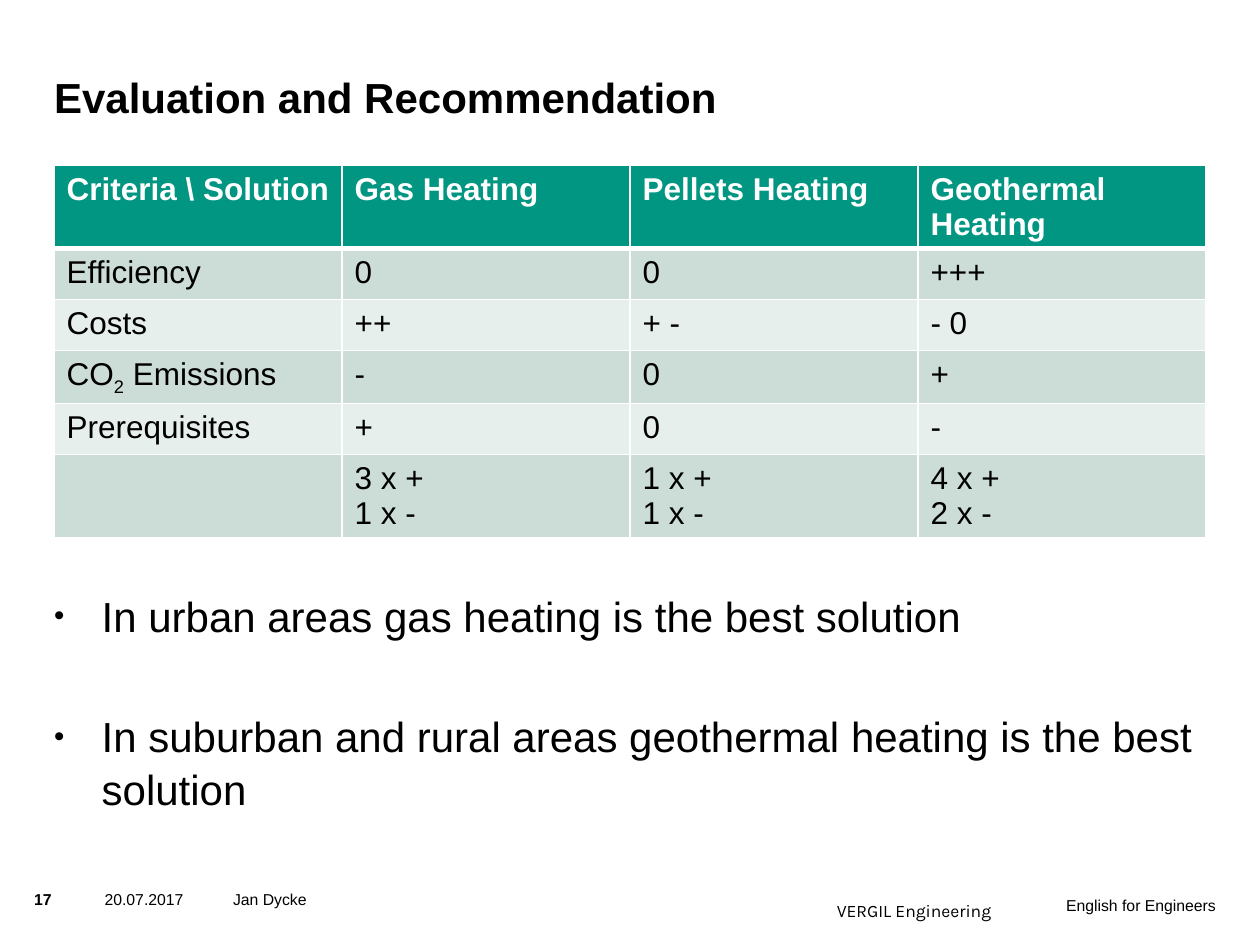
from lxml.etree import SubElement
from pptx import Presentation
from pptx.dml.color import RGBColor
from pptx.enum.text import MSO_ANCHOR as Anchor, MSO_AUTO_SIZE as AutoSize, PP_ALIGN as Align
from pptx.oxml import parse_xml
from pptx.oxml.ns import nsdecls, qn
from pptx.util import Cm, Pt

THEME = {
    "ink": "000000", "paper": "FFFFFF", "header": "009682",
    "bands": ["CCDDD8", "E7EFED"],
    "font": "Arial", "brand_font": "Karla",
    "heading": 24, "table": 18, "footer": 9, "brand": 10,
}


def format_font(font, size, color="ink", bold=False, name="font"):
    values = {"name": THEME[name], "size": Pt(THEME[size]), "bold": bold}
    for attribute, value in values.items():
        setattr(font, attribute, value)
    font.color.rgb = RGBColor.from_string(THEME[color])


def format_frame(frame, margin=0, anchor=Anchor.TOP):
    values = {"word_wrap": True, "auto_size": AutoSize.NONE, "vertical_anchor": anchor}
    values.update({f"margin_{side}": Cm(margin) for side in ("left", "top", "right", "bottom")})
    for attribute, value in values.items():
        setattr(frame, attribute, value)


presentation = Presentation()
presentation.slide_width, presentation.slide_height = Cm(25.4), Cm(19.05)
slide = presentation.slides.add_slide(presentation.slide_layouts[1])
title, body = slide.placeholders

places = [
    (title, (1.09, 0.91, 19.63, 1.55), Anchor.BOTTOM),
    (body, (1.09, 11.86, 23.22, 5.08), Anchor.TOP),
]
for placeholder, box, anchor in places:
    for attribute, length in zip(("left", "top", "width", "height"), box):
        setattr(placeholder, attribute, Cm(length))
    format_frame(placeholder.text_frame, anchor=anchor)

title.text_frame.text = "Evaluation and Recommendation"
heading = title.text_frame.paragraphs[0]
heading.alignment = Align.LEFT
format_font(heading.runs[0].font, "heading", bold=True)

body.text_frame.text = "\n".join([
    "In urban areas gas heating is the best solution",
    "In suburban and rural areas geothermal heating is the best solution",
])
for paragraph, gap in zip(body.text_frame.paragraphs, (0, 39)):
    paragraph.space_before = Pt(gap)
    paragraph.line_spacing = 1.04
    format_font(paragraph.runs[0].font, "heading")
    properties = paragraph._p.get_or_add_pPr()
    properties.set("marL", str(Cm(0.96)))
    properties.set("indent", str(Cm(-0.96)))
    SubElement(properties, qn("a:buSzPct"), val="70000")
    SubElement(properties, qn("a:buChar"), char="•")

rows = [
    ["Criteria \\ Solution", "Gas Heating", "Pellets Heating", "Geothermal Heating"],
    ["Efficiency", "0", "0", "+++"],
    ["Costs", "++", "+ -", "- 0"],
    ["CO2 Emissions", "-", "0", "+"],
    ["Prerequisites", "+", "0", "-"],
    ["", "3 x +\n1 x -", "1 x +\n1 x -", "4 x +\n2 x -"],
]
row_height = 1.03
table = slide.shapes.add_table(
    len(rows), len(rows[0]), Cm(1.09), Cm(3.33), Cm(23.22), Cm(row_height * len(rows))
).table
for row in table.rows:
    row.height = Cm(row_height)

for row_index, texts in enumerate(rows):
    is_header = row_index == 0
    fill = THEME["header"] if is_header else THEME["bands"][(row_index - 1) % 2]
    for column_index, text in enumerate(texts):
        cell = table.cell(row_index, column_index)
        cell.fill.solid()
        cell.fill.fore_color.rgb = RGBColor.from_string(fill)
        for line_index, line in enumerate(text.split("\n")):
            frame = cell.text_frame
            paragraph = frame.add_paragraph() if line_index else frame.paragraphs[0]
            format_font(paragraph.font, "table", "paper" if is_header else "ink", is_header)
            parts = ["CO", "2", " Emissions"] if line.startswith("CO2") else [line]
            for part in filter(None, parts):
                run = paragraph.add_run()
                run.text = part
                format_font(run.font, "table", "paper" if is_header else "ink", is_header)
                if len(parts) > 1 and part == "2":
                    run.font._element.set("baseline", "-25000")
        for position, side in enumerate(("L", "R", "T", "B")):
            thick = (is_header and side == "B") or (row_index == 1 and side == "T")
            border = parse_xml(
                f'<a:ln{side} {nsdecls("a")} w="{Pt(3 if thick else 1)}"><a:solidFill>'
                f'<a:srgbClr val="{THEME["paper"]}"/></a:solidFill></a:ln{side}>'
            )
            cell._tc.get_or_add_tcPr().insert(position, border)

footers = [
    ("17", (0.69, 17.93, 0.91, 0.61), {"bold": True}),
    ("20.07.2017", (2.11, 17.93, 2.26, 0.61), {}),
    ("Jan Dycke", (4.7, 17.93, 9.6, 0.99), {}),
    ("VERGIL Engineering", (16.87, 18.14, 3.73, 0.43), {"size": "brand", "name": "brand_font"}),
    ("English for Engineers", (21.31, 18.06, 3.2, 0.36), {}),
]
for text, box, style in footers:
    frame = slide.shapes.add_textbox(*map(Cm, box)).text_frame
    format_frame(frame)
    frame.text = text
    paragraph = frame.paragraphs[0]
    paragraph.alignment = Align.RIGHT if text.startswith("English") else Align.LEFT
    format_font(paragraph.runs[0].font, **{"size": "footer", **style})

presentation.save("out.pptx")
